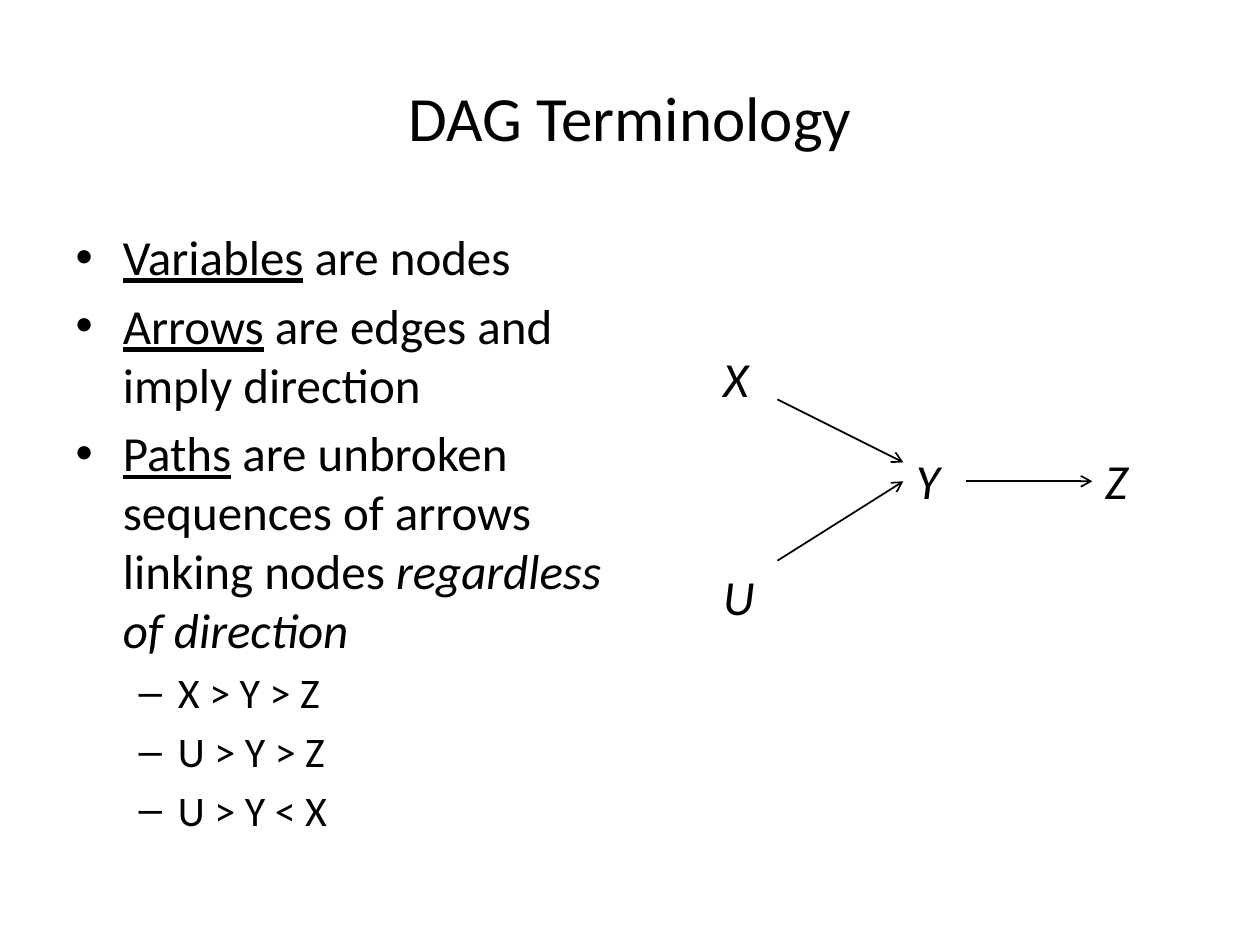
from lxml import etree
from pptx import Presentation
from pptx.dml.color import RGBColor
from pptx.enum.shapes import MSO_CONNECTOR
from pptx.enum.text import MSO_ANCHOR, MSO_AUTO_SIZE, PP_ALIGN
from pptx.oxml.ns import qn
from pptx.util import Inches, Pt

STRAIGHT = MSO_CONNECTOR.STRAIGHT
MIDDLE = MSO_ANCHOR.MIDDLE
CENTER = PP_ALIGN.CENTER
NO_AUTOFIT = MSO_AUTO_SIZE.NONE
GROW = MSO_AUTO_SIZE.SHAPE_TO_FIT_TEXT

COLORS = {"ink": "000000"}
FONT = "Calibri"
TITLE = "DAG Terminology"
TITLE_SIZE = 36
LEVEL_SIZES = [28, 24]
NODE_SIZE = 28

BULLETS = [
    (0, [("Variables", "underline"), (" are nodes", None)]),
    (0, [("Arrows", "underline"), (" are edges and imply direction", None)]),
    (0, [
        ("Paths", "underline"),
        (" are unbroken sequences of arrows linking nodes ", None),
        ("regardless of direction", "italic"),
    ]),
    (1, [("X > Y > Z", None)]),
    (1, [("U > Y > Z", None)]),
    (1, [("U > Y < X", None)]),
]
NODES = {"X": (5.64, 2.72), "U": (5.64, 4.45), "Y": (7.17, 3.53), "Z": (8.67, 3.53)}
NODE_BOX = (0.33, 0.57)
ARROWS = [
    ((6.17, 3.17), (7.17, 3.67)),
    ((6.17, 4.45), (7.17, 3.82)),
    ((7.67, 3.82), (8.67, 3.82)),
]


def place(shape, left, top, width, height):
    shape.left, shape.top = Inches(left), Inches(top)
    shape.width, shape.height = Inches(width), Inches(height)


def add_run(paragraph, text, size, style=None):
    run = paragraph.add_run()
    run.text = text
    run.font.name = FONT
    run.font.size = Pt(size)
    run.font.color.rgb = RGBColor.from_string(COLORS["ink"])
    if style:
        setattr(run.font, style, True)


def add_title(slide):
    title = slide.shapes.title
    place(title, 0.5, 0.3, 9, 1.25)
    frame = title.text_frame
    frame.auto_size = NO_AUTOFIT
    frame.vertical_anchor = MIDDLE
    frame.paragraphs[0].alignment = CENTER
    add_run(frame.paragraphs[0], TITLE, TITLE_SIZE)


def add_bullets(slide):
    body = slide.placeholders[1]
    place(body, 0.5, 1.75, 4.42, 4.95)
    frame = body.text_frame
    frame.auto_size = NO_AUTOFIT
    for index, (level, runs) in enumerate(BULLETS):
        paragraph = frame.add_paragraph() if index else frame.paragraphs[0]
        paragraph.level = level
        for text, style in runs:
            add_run(paragraph, text, LEVEL_SIZES[level], style)


def add_node(slide, name, position):
    box = slide.shapes.add_textbox(*map(Inches, position + NODE_BOX))
    box.text_frame.word_wrap = True
    box.text_frame.auto_size = GROW
    add_run(box.text_frame.paragraphs[0], name, NODE_SIZE, "italic")


def add_arrow(slide, start, end):
    connector = slide.shapes.add_connector(STRAIGHT, *map(Inches, start + end))
    connector.line.color.rgb = RGBColor.from_string(COLORS["ink"])
    connector.line.width = Pt(1)
    etree.SubElement(connector.line._get_or_add_ln(), qn("a:tailEnd"), type="arrow")
    etree.SubElement(connector._element.spPr, qn("a:effectLst"))


def main():
    presentation = Presentation()
    presentation.slide_width = Inches(10)
    presentation.slide_height = Inches(7.5)
    slide = presentation.slides.add_slide(presentation.slide_layouts[1])
    add_title(slide)
    add_bullets(slide)
    for name, position in NODES.items():
        add_node(slide, name, position)
    for start, end in ARROWS:
        add_arrow(slide, start, end)
    presentation.save("out.pptx")


if __name__ == "__main__":
    main()
